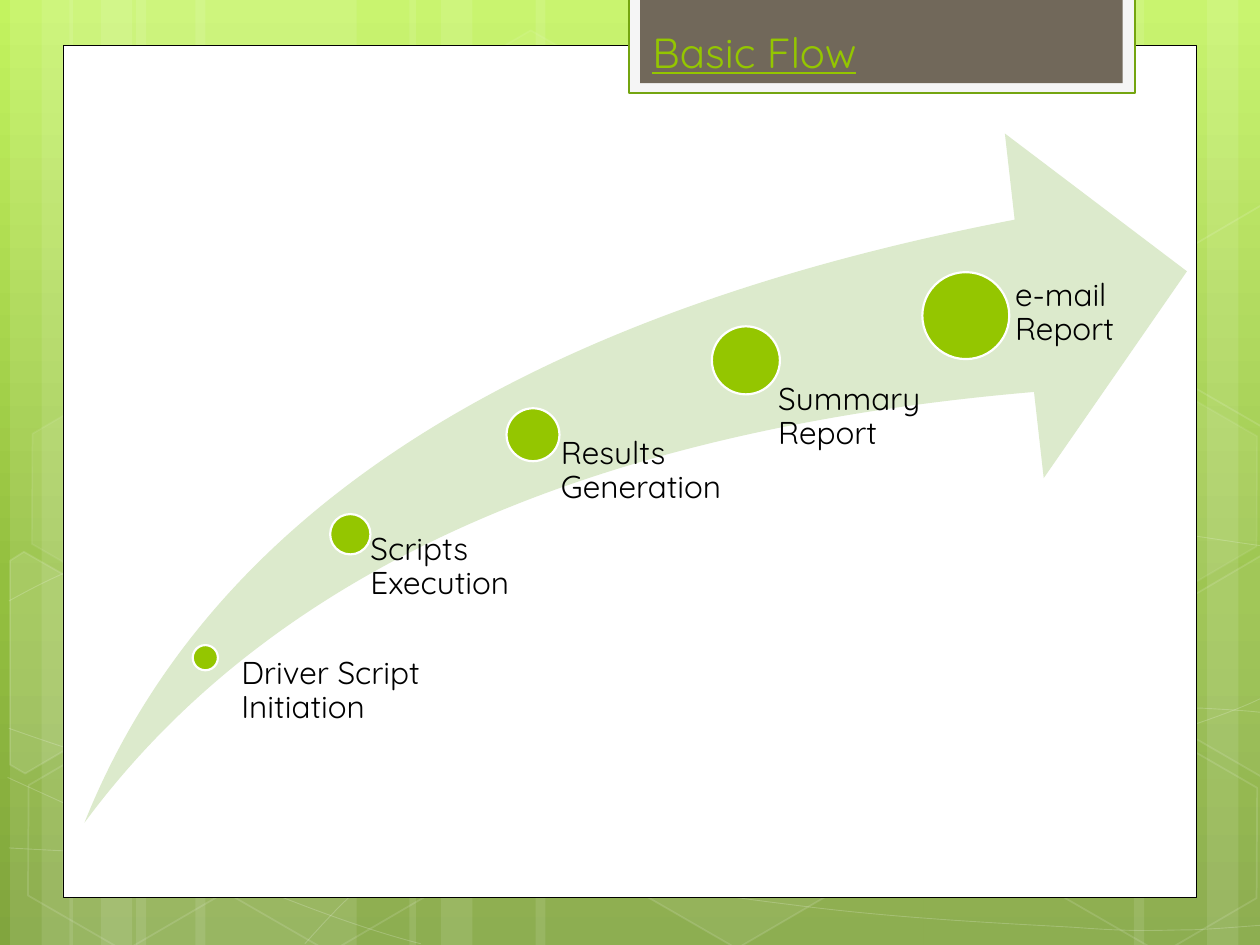
from copy import deepcopy

from lxml.etree import SubElement
from pptx import Presentation
from pptx.dml.color import RGBColor as RGB
from pptx.enum.shapes import MSO_SHAPE as Kind
from pptx.enum.text import MSO_ANCHOR as Anchor
from pptx.oxml.ns import qn
from pptx.util import Inches, Pt

FONT = "Quicksand"
COLORS = {
    "white": "FFFFFF", "black": "000000", "lime": "94C600", "edge": "74A510",
    "frame": "F5F5F5", "brown": "71685A", "swoosh": "DCEACC",
}
SKY = [(0, "C3F35F"), (0.62, "93BF3F"), (1, "81A53E")]

# left, width of the full-height light bands
BANDS = [(1.08, 1.75), (0.08, 0.5), (0.33, 0.83), (1.55, 1.75), (0.55, 0.5),
         (0.8, 0.83), (7.33, 1.75), (9.58, 0.5), (9, 0.83), (4.25, 3.08),
         (3.25, 0.5), (3.5, 0.83)]

# start point, then pieces: two controls and an end, or an end for a line
WAVES = [
    [(0.07, 6.73), (0.61, 6.76, 1.15, 6.79, 1.9, 6.78),
     (2.65, 6.77, 3.58, 6.75, 4.58, 6.65), (5.58, 6.55, 7, 6.36, 7.92, 6.17),
     (8.83, 5.98, 9.77, 5.68, 10.07, 5.51)],
    [(0.07, 4.77), (0.36, 4.61, 0.65, 4.46, 1.21, 4.31),
     (1.78, 4.16, 2.59, 3.94, 3.47, 3.87), (4.36, 3.8, 5.44, 3.79, 6.54, 3.87),
     (7.64, 3.95, 9.47, 4.26, 10.07, 4.34)],
    [(0.06, 6.17), (1.27, 6.72, 2.47, 7.27, 3.34, 7.49)],
    [(0.07, 5.78), (0.38, 5.89, 0.7, 6, 1.28, 6.16),
     (1.86, 6.31, 2.73, 6.56, 3.57, 6.73), (4.4, 6.9, 5.45, 7.08, 6.28, 7.18),
     (7.11, 7.29, 8, 7.33, 8.53, 7.36), (9.05, 7.4, 9.19, 7.38, 9.45, 7.38),
     (9.71, 7.37, 9.89, 7.35, 10.07, 7.34)],
    [(2.42, 7.49), (2.6, 7.29, 2.78, 7.09, 3.02, 6.91),
     (3.26, 6.73, 3.6, 6.53, 3.88, 6.39), (4.16, 6.25, 4.33, 6.19, 4.7, 6.09),
     (5.06, 5.99, 5.73, 5.85, 6.08, 5.78), (6.44, 5.71, 6.49, 5.71, 6.8, 5.69),
     (7.11, 5.66, 7.6, 5.63, 7.94, 5.62), (8.29, 5.61, 8.86, 5.62, 8.86, 5.62),
     (9.53, 5.62), (9.71, 5.63, 9.88, 5.64, 9.97, 5.65),
     (10.06, 5.66, 10.03, 5.65, 10.06, 5.66)],
]

# left, top, fill opacity, line opacity in percent
HEXES = [(3.34, 0.36, 4, 8), (4.97, 5.89, 6, 12), (0.11, 5.91, 0, 12),
         (0.14, 3.12, 7, 8), (1.74, 5.92, 0, 12), (7.53, 4.53, 10, 12),
         (8.34, 5.93, 0, 12), (8.34, 3.14, 7, 8)]

# corners of the hexagons cut by the slide edge, fill opacity
CUTS = [
    ([(0.08, 4.45), (0.19, 4.38), (0.96, 4.82), (0.95, 5.7), (0.2, 6.14),
      (0.08, 6.07)], 10),
    ([(9.26, 4.85), (10.01, 4.41), (10.09, 4.46), (10.09, 6.13),
      (10.02, 6.17), (9.26, 5.73)], 4),
    ([(9.26, 2.07), (10.01, 1.63), (10.1, 1.68), (10.09, 3.35),
      (10.02, 3.39), (9.26, 2.95)], 0),
]

# box, fill, line colour, line width
PANELS = [((0.5, 0.36, 9, 6.76), "white", "black", 0.5),
          ((4.99, -0.02, 4.02, 0.76), "frame", "edge", 1.25),
          ((5.08, -0.02, 3.83, 0.68), "brown", None, 0)]

TITLE = "Basic Flow"
# text, dot (left, top, size), label box
STEPS = [
    ("Driver Script Initiation", (1.53, 5.12, 0.2), (1.81, 5.22, 2.17, 1.3)),
    ("Scripts Execution", (2.62, 4.08, 0.32), (2.77, 4.23, 1.45, 2.29)),
    ("Results Generation", (4.02, 3.24, 0.42), (4.23, 3.47, 1.69, 3.07)),
    ("Summary Report", (5.65, 2.59, 0.54), (5.89, 3.04, 1.75, 3.66)),
    ("e-mail\vReport", (7.32, 2.16, 0.69), (7.69, 2.22, 1.45, 4.03)),
]
INDENT = 0.53  # label inset as a share of the dot size


def paint(fill, color, alpha=100):
    """Fill solid, or not at all for no colour or zero opacity."""
    if not color or not alpha:
        fill.background()
        return
    fill.solid()
    fill.fore_color.rgb = RGB.from_string(COLORS[color])
    if alpha < 100:
        node = fill._xPr.find(".//" + qn("a:srgbClr"))
        SubElement(node, qn("a:alpha")).set("val", str(alpha * 1000))


def style(shape, fill=None, alpha=100, line=None, width=0, fade=100):
    shape.shadow.inherit = False
    paint(shape.fill, fill, alpha)
    paint(shape.line.fill, line, fade)
    if line:
        shape.line.width = Pt(width)
    return shape


def add(slide, kind, box, *args, **kw):
    return style(slide.shapes.add_shape(kind, *map(Inches, box)), *args, **kw)


def outline(slide, points, close):
    pts = [(Inches(x), Inches(y)) for x, y in points]
    pen = slide.shapes.build_freeform(*pts[0])
    pen.add_line_segments(pts[1:], close=close)
    return pen.convert_to_shape()


def curve(slide, wave):
    """Draw a line through all points, then join each three into a Bezier."""
    pts = [(p[i], p[i + 1]) for p in wave for i in range(0, len(p), 2)]
    shape = outline(slide, pts, False)
    track = shape._element.find(".//" + qn("a:path"))
    nodes = iter(track.findall(qn("a:lnTo")))
    for piece in wave[1:]:
        head = next(nodes)
        if len(piece) == 6:
            head.tag = qn("a:cubicBezTo")
            for node in (next(nodes), next(nodes)):
                head.append(node[0])
                track.remove(node)
    return shape


def write(slide, text, box, frame, font, color, spacing=1.0):
    tf = slide.shapes.add_textbox(*map(Inches, box)).text_frame
    for name, val in {"word_wrap": True, **frame}.items():
        setattr(tf, name, val)
    para = tf.paragraphs[0]
    para.text = text
    para.line_spacing = spacing
    for run in para.runs:
        for name, val in {"name": FONT, **font}.items():
            setattr(run.font, name, val)
        run.font.color.rgb = RGB.from_string(COLORS[color])


def backdrop(slide):
    fill = slide.background.fill
    fill.gradient()
    fill.gradient_angle = 270
    stops = slide._element.find(".//" + qn("a:gsLst"))
    stops.append(deepcopy(stops[0]))
    for stop, (pos, color) in zip(fill.gradient_stops, SKY):
        stop.position = pos
        stop.color.rgb = RGB.from_string(color)
    for left, width in BANDS:
        add(slide, Kind.RECTANGLE, (left, 0, width, 7.5), "white", 10)
    for wave in WAVES:
        style(curve(slide, wave), line="white", width=0.5, fade=20)
    for left, top, alpha, fade in HEXES:
        cell = add(slide, Kind.HEXAGON, (left, top, 1.75, 1.52),
                   "white", alpha, "white", 1, fade)
        cell.rotation = 30
        cell.adjustments[0] = 0.285
    for points, alpha in CUTS:
        style(outline(slide, points, True), "white", alpha, "white", 1, 12)
    for box, fill, line, width in PANELS:
        add(slide, Kind.RECTANGLE, box, fill, line=line, width=width)


def flow(slide):
    arrow = add(slide, Kind.SWOOSH_ARROW, (0.67, 1.06, 8.75, 5.47), "swoosh")
    arrow.adjustments[0] = arrow.adjustments[1] = 0.25
    for text, (left, top, size), box in STEPS:
        add(slide, Kind.OVAL, (left, top, size, size), "lime",
            line="white", width=1.25)
        frame = {"margin_left": Inches(INDENT * size), "margin_top": 0,
                 "margin_right": 0, "margin_bottom": 0}
        write(slide, text, box, frame, {"size": Pt(18)}, "black", 0.9)


def main():
    prs = Presentation()
    prs.slide_width, prs.slide_height = Inches(10), Inches(7.5)
    slide = prs.slides.add_slide(prs.slide_layouts[6])
    backdrop(slide)
    write(slide, TITLE, (5.08, 0.08, 3.58, 0.58),
          {"vertical_anchor": Anchor.BOTTOM},
          {"size": Pt(24), "underline": True}, "lime")
    flow(slide)
    prs.save("out.pptx")


if __name__ == "__main__":
    main()
